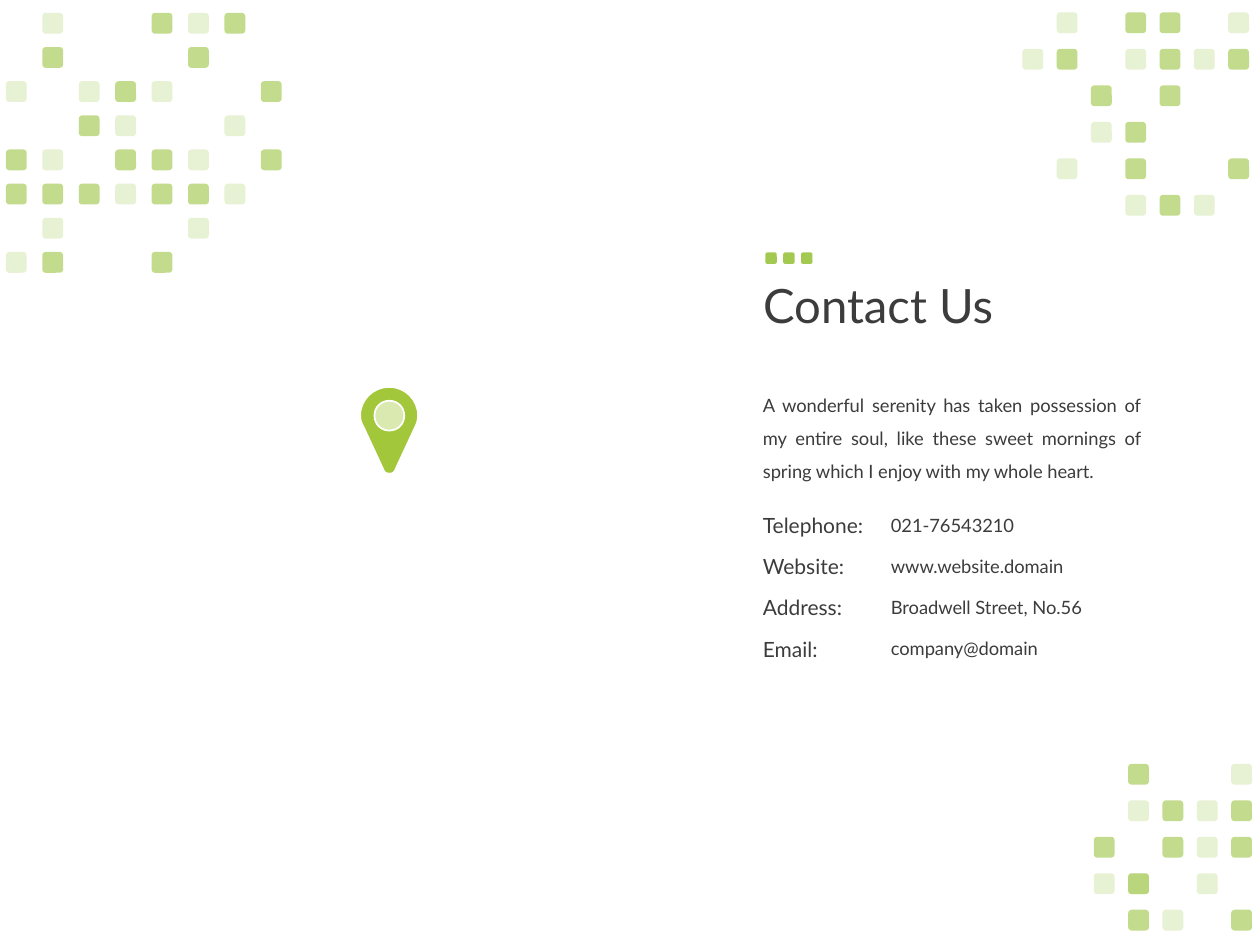
from lxml.etree import SubElement
from pptx import Presentation
from pptx.dml.color import RGBColor
from pptx.enum.shapes import MSO_SHAPE as Shape
from pptx.enum.text import MSO_ANCHOR as Anchor
from pptx.enum.text import MSO_AUTO_SIZE as AutoSize
from pptx.enum.text import PP_ALIGN as Align
from pptx.oxml.ns import qn
from pptx.util import Cm, Pt

COLORS = {
    "text": "3C3C3C",
    "tile": "A3C951",
    "pin": "A3C73A",
    "eye": "DAE9B0",
    "edge": "FFFFFF",
}
FONT = "Lato"
OPACITIES = {"l": [25], "d": [65], "b": [65, 25]}

LEFT_TILES = [
    ".l..dld.",
    ".d...d..",
    "l.ldl..d",
    "..dl..l.",
    "dl.ddl.d",
    "dddlddl.",
    ".l...l..",
    "ld..d...",
]
TOP_TILES = [
    ".l.dd.l",
    "ld.ldld",
    "..d.d..",
    "..ld...",
    ".l.d..d",
    "...ldl.",
]
BOTTOM_TILES = [
    ".d..l",
    ".ldld",
    "d.dld",
    "lb.l.",
    ".dl.d",
]
PIN_OUTLINE = [
    [(112, 79)],
    [(72, 165), (72, 165), (72, 165)],
    [(70, 172), (66, 175), (59, 175)],
    [(52, 175), (48, 172), (46, 165)],
    [(6, 79), (6, 79), (6, 79)],
    [(2, 73), (0, 65), (0, 58)],
    [(0, 26), (26, 0), (59, 0)],
    [(91, 0), (117, 26), (117, 58)],
    [(117, 65), (115, 73), (112, 79)],
]
PIN_HOLE = [
    [(59, 28)],
    [(42, 28), (29, 41), (29, 58)],
    [(29, 75), (42, 88), (59, 88)],
    [(76, 88), (89, 75), (89, 58)],
    [(89, 41), (76, 28), (59, 28)],
]
CONTACTS = [
    ("Telephone:", "021-76543210"),
    ("Website:", "www.website.domain"),
    ("Address:", "Broadwell Street, No.56"),
    ("Email:", "company@domain"),
]


def paint(shape, fill, line=None, opacity=100):
    """Give a shape a flat fill and an optional thin outline."""
    shape.shadow.inherit = False
    shape.fill.solid()
    shape.fill.fore_color.rgb = RGBColor.from_string(COLORS[fill])
    if opacity < 100:
        color = shape.fill._xPr.find(qn("a:solidFill"))[0]
        SubElement(color, qn("a:alpha")).set("val", str(opacity * 1000))
    if line:
        shape.line.color.rgb = RGBColor.from_string(COLORS[line])
        shape.line.width = Pt(1)
    else:
        shape.line.fill.background()


def add_tile(group, left, top, size=0.42, opacity=100):
    """Add one rounded square to a group."""
    tile = group.shapes.add_shape(
        Shape.ROUNDED_RECTANGLE, Cm(left), Cm(top), Cm(size), Cm(size)
    )
    paint(tile, "tile", opacity=opacity)


def add_mosaic(page, pattern, left, top, span_x, span_y):
    """Add a group of tiles spread evenly between first and last."""
    group = page.shapes.add_group_shape()
    step_x = span_x / (len(pattern[0]) - 1)
    step_y = span_y / (len(pattern) - 1)
    for row, marks in enumerate(pattern):
        for column, mark in enumerate(marks):
            for opacity in OPACITIES.get(mark, []):
                add_tile(group, left + column * step_x, top + row * step_y,
                         opacity=opacity)


def add_accent(page):
    """Add the three small squares above the title."""
    group = page.shapes.add_group_shape()
    for index in range(3):
        add_tile(group, 15.43 + index * 0.36, 5.09, size=0.23)


def draw_curves(path, contours):
    """Replace the content of a path with closed cubic curves."""
    for child in list(path):
        path.remove(child)
    for contour in contours:
        for points in contour:
            tag = "a:moveTo" if len(points) == 1 else "a:cubicBezTo"
            command = SubElement(path, qn(tag))
            for x, y in points:
                point = SubElement(command, qn("a:pt"))
                point.set("x", str(x))
                point.set("y", str(y))
        SubElement(path, qn("a:close"))


def add_pin(page):
    """Add the map pin with its round eye."""
    group = page.shapes.add_group_shape()
    eye = group.shapes.add_shape(Shape.OVAL, Cm(7.52), Cm(8.04), Cm(0.66), Cm(0.66))
    paint(eye, "eye", line="edge")
    builder = group.shapes.build_freeform(0, 0, scale=Cm(0.01))
    builder.add_line_segments([(117, 0), (117, 175), (0, 175)])
    pin = builder.convert_to_shape(Cm(7.26), Cm(7.8))
    draw_curves(next(pin._element.iter(qn("a:path"))), [PIN_OUTLINE, PIN_HOLE])
    paint(pin, "pin", line="edge")


def write(box, text, size=10.5, align=Align.LEFT, spacing=None,
          anchor=Anchor.TOP, fit=AutoSize.SHAPE_TO_FIT_TEXT):
    """Write one formatted paragraph into a box."""
    frame = box.text_frame
    frame.word_wrap = True
    frame.auto_size = fit
    frame.vertical_anchor = anchor
    para = frame.paragraphs[0]
    para.alignment = align
    if spacing:
        para.line_spacing = spacing
    span = para.add_run()
    span.text = text
    span.font.name = FONT
    span.font.size = Pt(size)
    span.font.color.rgb = RGBColor.from_string(COLORS["text"])


def add_text(page, text, left, top, width, height, **style):
    """Add a text box with one paragraph."""
    box = page.shapes.add_textbox(Cm(left), Cm(top), Cm(width), Cm(height))
    write(box, text, **style)


def add_title(page, text):
    """Place and fill the title placeholder."""
    title = page.shapes.title
    title.left, title.top = Cm(15.13), Cm(4.37)
    title.width, title.height = Cm(21.89), Cm(3.68)
    write(title, text, size=27, spacing=0.9, anchor=Anchor.MIDDLE, fit=AutoSize.NONE)


def add_contacts(page):
    """Add the labels and values of the contact list."""
    for index, (label, value) in enumerate(CONTACTS):
        offset = index * 0.83
        add_text(page, label, 15.13, 10.21 + offset, 3.96, 0.76, size=12)
        add_text(page, value, 17.71, 10.24 + offset, 4.9, 0.71)


def main():
    """Build the contact slide and save it."""
    deck = Presentation()
    deck.slide_width, deck.slide_height = Cm(25.4), Cm(19.05)
    page = deck.slides.add_slide(deck.slide_layouts[5])
    add_mosaic(page, LEFT_TILES, 0.12, 0.26, 5.14, 4.82)
    add_title(page, "Contact Us")
    add_text(
        page,
        "A wonderful serenity has taken possession of my entire soul, like these "
        "sweet mornings of spring which I enjoy with my whole heart.",
        15.13, 7.6, 8.13, 2.18, align=Align.JUSTIFY, spacing=1.5,
    )
    add_contacts(page)
    add_pin(page)
    add_mosaic(page, TOP_TILES, 20.61, 0.25, 4.15, 3.68)
    add_mosaic(page, BOTTOM_TILES, 22.05, 15.4, 2.77, 2.94)
    add_accent(page)
    deck.save("out.pptx")


if __name__ == "__main__":
    main()
